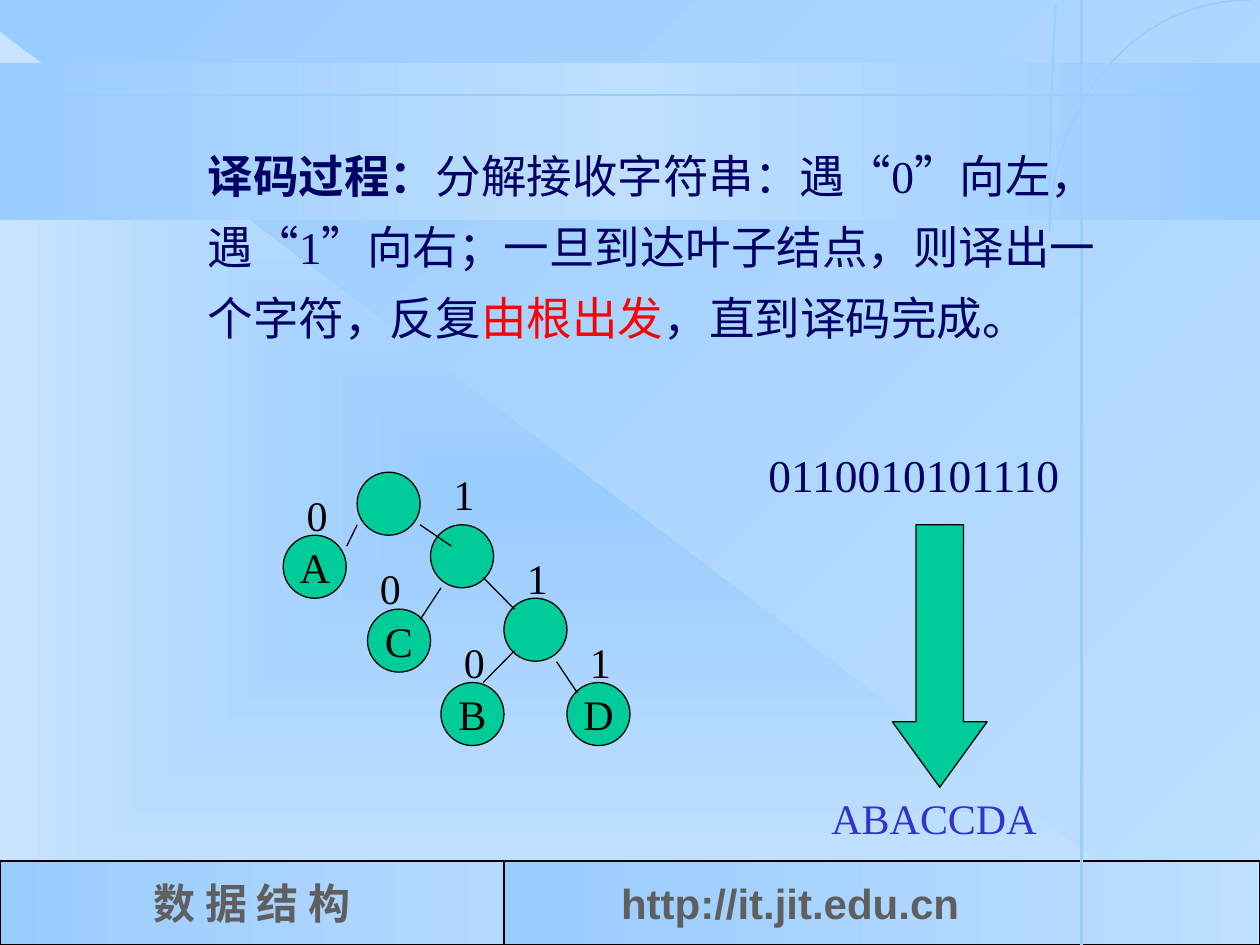
from lxml import etree
from pptx import Presentation
from pptx import util as u
from pptx.dml.color import RGBColor
from pptx.enum import lang, shapes, text
from pptx.oxml.ns import qn

SKY, PALE, GREEN, NAVY, BLACK = "99CCFF", "BEDFFF", "00CC99", "000066", "000000"
NODE_SIZE = 1.27


def color(value):
    return RGBColor.from_string(value)


def paint_gradient(fill, owner, stops, angle=None):
    fill.gradient()
    gradient = next(owner.iter(qn("a:gradFill")))
    for child in list(gradient):
        gradient.remove(child)
    stop_list = etree.SubElement(gradient, qn("a:gsLst"))
    for index, value in enumerate(stops):
        position = str(100000 * index // (len(stops) - 1))
        stop = etree.SubElement(stop_list, qn("a:gs"), pos=position)
        etree.SubElement(stop, qn("a:srgbClr"), val=value)
    if angle is None:
        center = etree.SubElement(gradient, qn("a:path"), path="rect")
        etree.SubElement(center, qn("a:fillToRect"),
                         {side: "50000" for side in "ltrb"})
    else:
        etree.SubElement(gradient, qn("a:lin"), ang=str(angle * 60000), scaled="0")


def write(frame, words, size=24, ink=BLACK, font="Times New Roman", bold=False,
          align=text.PP_ALIGN.LEFT, spacing=None):
    paragraph = frame.paragraphs[0]
    paragraph.alignment = align
    paragraph._p.get_or_add_pPr().set("hangingPunct", "0")
    if spacing:
        paragraph.line_spacing = spacing
    run = paragraph.add_run()
    run.text = words
    run.font.size = u.Pt(size)
    run.font.name = font
    run.font.bold = bold
    run.font.color.rgb = color(ink)
    run.font.language_id = lang.MSO_LANGUAGE_ID.SIMPLIFIED_CHINESE


def add_figure(slide, kind, box, fill=None, stops=None, angle=None, border=None):
    figure = slide.shapes.add_shape(kind, *map(u.Cm, box))
    figure.shadow.inherit = False
    if stops:
        paint_gradient(figure.fill, figure._element, stops, angle)
    else:
        figure.fill.solid()
        figure.fill.fore_color.rgb = color(fill)
    if border:
        figure.line.color.rgb = color(BLACK)
        figure.line.width = u.Pt(border)
    else:
        figure.line.fill.background()
    figure.text_frame.vertical_anchor = text.MSO_ANCHOR.MIDDLE
    return figure


def add_line(slide, start, end, ink=BLACK, width=0.75):
    line = slide.shapes.add_connector(
        shapes.MSO_CONNECTOR.STRAIGHT, *map(u.Cm, (*start, *end)))
    line.line.color.rgb = color(ink)
    line.line.width = u.Pt(width)
    etree.SubElement(line._element.spPr, qn("a:effectLst"))


def add_text(slide, box, words="", **style):
    label = slide.shapes.add_textbox(*map(u.Cm, box))
    frame = label.text_frame
    frame.word_wrap = True
    if words:
        write(frame, words, **style)
    return frame


def add_node(slide, left, top, letter):
    node = add_figure(slide, shapes.MSO_SHAPE.OVAL,
                      (left, top, NODE_SIZE, NODE_SIZE), fill=GREEN, border=0.75)
    if letter:
        node.text_frame.word_wrap = False
        write(node.text_frame, letter, align=text.PP_ALIGN.CENTER)


def bezier(controls, t):
    weights = ((1 - t) ** 3, 3 * t * (1 - t) ** 2, 3 * t * t * (1 - t), t ** 3)
    return tuple(u.Cm(sum(w * point[axis] for w, point in zip(weights, controls)))
                 for axis in (0, 1))


def add_arc(slide):
    steps = 24
    quarter = ((25.2, 0), (22.89, 0), (21.16, 2.08), (21.16, 4.67))
    rise = ((21.16, 4.67), (21.16, -6.88), (22.89, -4.8), (24.99, -4.8))
    points = [bezier(curve, reach * step / steps)
              for curve, reach in ((quarter, 1), (rise, 0.16))
              for step in range(steps + 1)]
    builder = slide.shapes.build_freeform(*points[0], scale=1.0)
    builder.add_line_segments(points[1:], close=False)
    arc = builder.convert_to_shape()
    arc.shadow.inherit = False
    arc.fill.background()
    arc.line.color.rgb = color(SKY)
    arc.line.width = u.Pt(1)


def add_backdrop(slide):
    paint_gradient(slide.background.fill, slide.element, (SKY, PALE), 45)
    kinds = shapes.MSO_SHAPE
    add_figure(slide, kinds.RIGHT_TRIANGLE, (0, 0.64, 24.34, 18.41),
               stops=(SKY, "C8E4FF"))
    add_figure(slide, kinds.RECTANGLE, (0, 1.27, 25.4, 3.17),
               stops=(SKY, PALE, SKY), angle=0)
    course = add_figure(slide, kinds.RECTANGLE, (0, 17.36, 10.16, 1.69),
                        stops=(SKY, "B4D9FF"), angle=0, border=1.5)
    course.text_frame.word_wrap = False
    write(course.text_frame, "数 据 结 构", ink="5F5F5F", bold=True,
          align=text.PP_ALIGN.CENTER)
    site = add_figure(slide, kinds.RECTANGLE, (10.16, 17.36, 15.24, 1.69),
                      stops=(SKY, PALE), angle=0, border=1.5)
    site.text_frame.margin_left = u.Cm(2.36)
    write(site.text_frame, "http://it.jit.edu.cn", ink="5F5F5F", font="Arial",
          bold=True)
    add_line(slide, (0, 1.91), (25.4, 1.91), SKY, 1)
    add_line(slide, (21.8, 0), (21.8, 19.05), SKY, 1.5)
    add_arc(slide)


def add_explanation(slide):
    frame = add_text(slide, (3.94, 2.53, 18.62, 5.97))
    for words, ink, bold in (
        ("译码过程：", NAVY, True),
        ("分解接收字符串：遇“0”向左，遇“1”向右；一旦到达叶子结点，则译出一个字符，反复",
         NAVY, False),
        ("由根出发", "FF0000", False),
        ("，直到译码完成。", NAVY, False),
    ):
        write(frame, words, size=26, ink=ink, bold=bold, spacing=1.3)


def add_decoding(slide):
    arrow = add_figure(slide, shapes.MSO_SHAPE.DOWN_ARROW,
                       (17.99, 10.58, 1.91, 5.29), fill=GREEN, border=0.75)
    arrow.adjustments[0] = 0.5
    arrow.adjustments[1] = 0.69
    add_text(slide, (15.24, 8.89, 6.99, 1.37), "0110010101110", size=26, ink=NAVY)
    add_text(slide, (16.51, 15.86, 5.5, 1.27), "ABACCDA", ink="3333CC")


def add_code_tree(slide):
    for left, top, letter in (
        (7.2, 9.52, ""), (8.68, 10.58, ""), (10.16, 12.06, ""),
        (5.71, 10.79, "A"), (7.41, 12.28, "C"), (8.89, 13.76, "B"), (11.43, 13.76, "D"),
    ):
        add_node(slide, left, top, letter)
    for start, end, bit, left, top in (
        ((7.2, 10.58), (6.99, 11.01), "0", 5.93, 9.74),
        ((8.47, 10.58), (9.1, 11.01), "1", 8.89, 9.31),
        ((8.89, 11.85), (8.47, 12.49), "0", 7.41, 11.22),
        ((9.74, 11.64), (10.37, 12.28), "1", 10.37, 11.01),
        ((10.37, 13.12), (9.74, 13.76), "0", 9.1, 12.7),
        ((11.22, 13.34), (11.64, 13.97), "1", 11.64, 12.7),
    ):
        add_line(slide, start, end)
        add_text(slide, (left, top, 1.48, 1.27), bit)


def main():
    deck = Presentation()
    deck.slide_width, deck.slide_height = u.Cm(25.4), u.Cm(19.05)
    slide = deck.slides.add_slide(deck.slide_layouts[6])
    add_backdrop(slide)
    add_explanation(slide)
    add_decoding(slide)
    add_code_tree(slide)
    deck.save("out.pptx")


if __name__ == "__main__":
    main()
